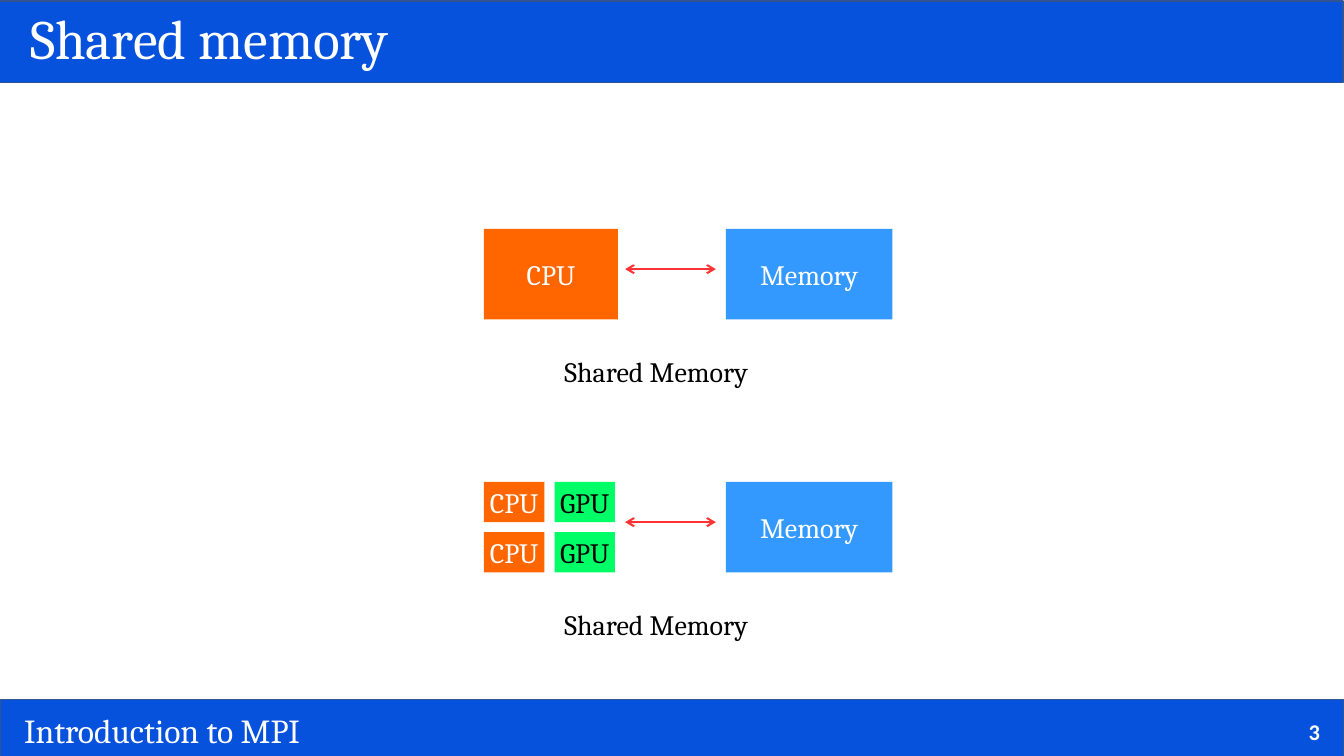
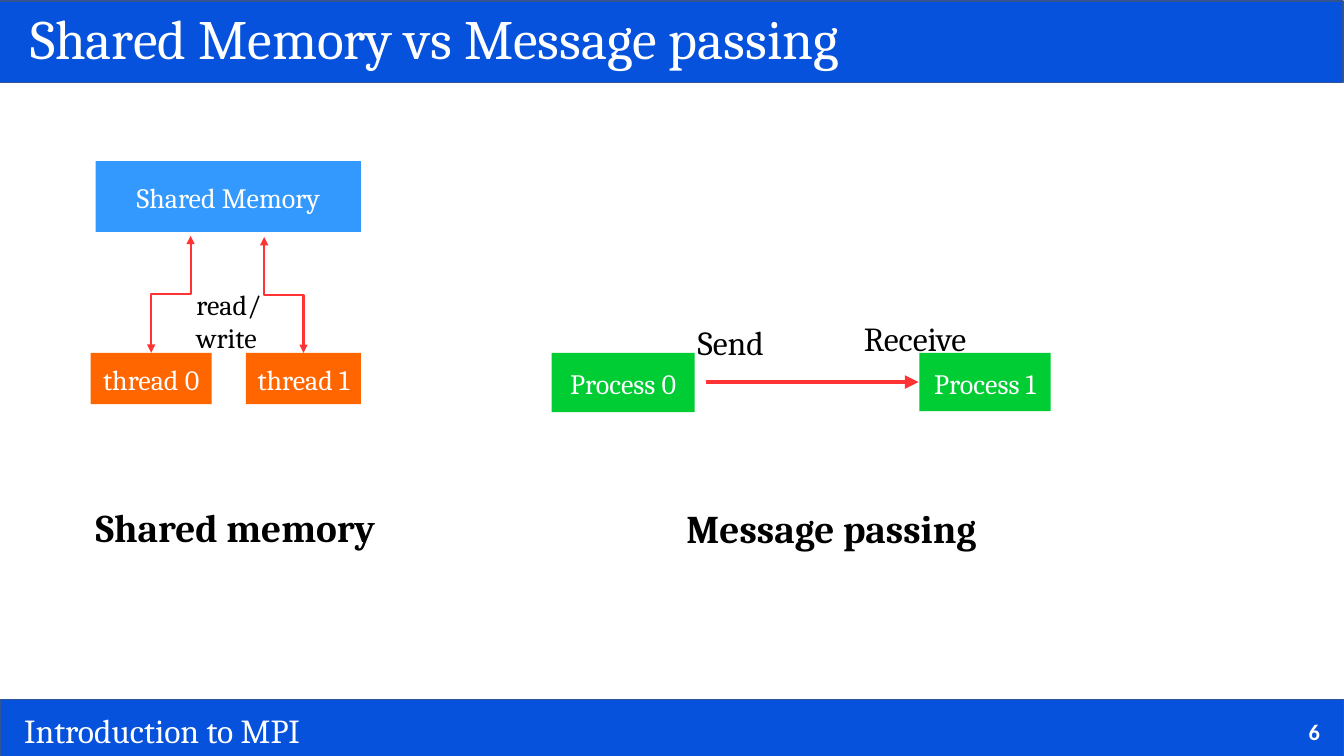
from lxml.etree import SubElement
from pptx import Presentation
from pptx.dml.color import RGBColor
from pptx.enum.shapes import MSO_CONNECTOR, MSO_SHAPE
from pptx.enum.text import MSO_ANCHOR, PP_ALIGN
from pptx.oxml.ns import qn
from pptx.util import Inches, Pt

COLORS = {
    "band": "0652DD", "edge": "325491", "white": "FFFFFF", "black": "000000",
    "cpu": "FF6600", "gpu": "00FF66", "memory": "3399FF",
    "process": "00CC33", "arrow": "FF3333",
}
FONTS = {
    "title": {"name": "Cambria", "size": Pt(39.6)},
    "footer": {"name": "Cambria", "size": Pt(24)},
    "number": {"name": "Calibri", "size": Pt(16), "bold": True},
    "body": {"name": "Cambria", "size": Pt(20)},
    "action": {"name": "Cambria", "size": Pt(24)},
    "heading": {"name": "Cambria", "size": Pt(28), "bold": True},
}
COLS, ROWS = 133.3, 75  # grid of 0.1 inch cells


def grid(*cells):
    return [Inches(c / 10) for c in cells]


def rgb(name):
    return RGBColor.from_string(COLORS[name])


class Deck:
    def __init__(self):
        self.prs = Presentation()
        self.prs.slide_width, self.prs.slide_height = grid(COLS, ROWS)

    def slide(self, title, number, pad_top):
        """Start a slide with its bands, title, footer and number."""
        self.s = self.prs.slides.add_slide(self.prs.slide_layouts[6])
        self.pad_top = Inches(0.05)
        self.box(0, 69.4, COLS, 6, "band", edge="edge")
        self.box(-0.1, 0.1, COLS, 8.1, "band", edge="edge")
        self.label("Introduction to MPI", 1.4, 69.9, 106.3, 5, "footer", "white")
        middle = {"anchor": MSO_ANCHOR.MIDDLE}
        self.label(title, 2, 0.5, 115, 7.3, "title", "white",
                   line_spacing=0.9, **middle)
        self.label(str(number), 127.1, 70.6, 4.8, 4, "number", "white",
                   align=PP_ALIGN.RIGHT, **middle)
        self.pad_top = Inches(pad_top)

    def fill_text(self, sp, text, font, color, wrap=True,
                  anchor=MSO_ANCHOR.TOP, align=PP_ALIGN.LEFT,
                  line_spacing=None):
        tf = sp.text_frame
        frame = {"word_wrap": wrap, "vertical_anchor": anchor,
                 "margin_top": self.pad_top, "margin_bottom": Inches(0.05)}
        for key, value in frame.items():
            setattr(tf, key, value)
        for i, line in enumerate(text.split("\n")):
            p = tf.add_paragraph() if i else tf.paragraphs[0]
            p.alignment, p.line_spacing = align, line_spacing
            r = p.add_run()
            r.text = line
            for key, value in FONTS[font].items():
                setattr(r.font, key, value)
            r.font.color.rgb = rgb(color)

    def label(self, text, x, y, w, h, font="body", color="black", **layout):
        sp = self.s.shapes.add_textbox(*grid(x, y, w, h))
        self.fill_text(sp, text, font, color, **layout)

    def box(self, x, y, w, h, fill, text=None, color="white", edge=None):
        sp = self.s.shapes.add_shape(MSO_SHAPE.RECTANGLE, *grid(x, y, w, h))
        sp.shadow.inherit = False
        sp.fill.solid()
        sp.fill.fore_color.rgb = rgb(fill)
        if edge:
            sp.line.color.rgb = rgb(edge)
            sp.line.width = Pt(1)
        else:
            sp.line.fill.background()
        if text:
            self.fill_text(sp, text, "body", color, wrap=False,
                           anchor=MSO_ANCHOR.MIDDLE, align=PP_ALIGN.CENTER)

    def arrow(self, x1, y1, x2, y2, head="triangle", both=True, width=1.45,
              kind=MSO_CONNECTOR.STRAIGHT):
        sp = self.s.shapes.add_connector(kind, *grid(x1, y1, x2, y2))
        sp.line.color.rgb = rgb("arrow")
        sp.line.width = Pt(width)
        ln = sp._element.spPr.find(qn("a:ln"))
        for end in ("a:headEnd", "a:tailEnd") if both else ("a:tailEnd",):
            SubElement(ln, qn(end), type=head)
        SubElement(sp._element.spPr, qn("a:effectLst"))
        return sp

    def elbow(self, x1, y1, x2, y2):
        """Vertical-first elbow: a horizontal one turned by 90 degrees."""
        cx, cy = (x1 + x2) / 2, (y1 + y2) / 2
        dx, dy = (x2 - x1) / 2, (y2 - y1) / 2
        sp = self.arrow(cx - dy, cy + dx, cx + dy, cy - dx,
                        kind=MSO_CONNECTOR.ELBOW)
        sp._element.spPr.find(qn("a:xfrm")).set("rot", str(90 * 60000))


def shared_memory(deck):
    deck.slide("Shared memory", 3, pad_top=0.05)
    single, multi = 22.7, 47.8

    # Processors
    deck.box(48, single, 13.3, 9, "cpu", "CPU")
    for row in range(2):
        y = multi + 5 * row
        deck.box(48, y, 6, 4, "cpu", "CPU")
        deck.box(55, y, 6, 4, "gpu", "GPU", "black")

    # Memory, link and caption of both systems
    for y in (single, multi):
        deck.box(72, y, 16.5, 9, "memory", "Memory")
        deck.arrow(62, y + 4, 71, y + 4, head="arrow")
        deck.label("Shared Memory", 55, y + 12, 21, 4.3)


def comparison(deck):
    deck.slide("Shared Memory vs Message passing", 6, pad_top=0.07)
    base = 35

    # Threads around one memory
    deck.box(9.5, 16, 26.3, 7, "memory", "Shared Memory")
    deck.box(9, base, 12, 5.1, "cpu", "thread 0")
    deck.box(24.4, base, 11.4, 5.1, "cpu", "thread 1")
    deck.elbow(18.9, 23.4, 15, base)
    deck.elbow(26.2, 23.5, 30.1, base)
    deck.label("read/\nwrite", 18.5, 27.8, 12.1, 9.4)

    # Processes exchanging a message
    deck.box(54.7, base, 14.2, 5.9, "process", "Process 0")
    deck.box(91.2, base, 13, 5.8, "process", "Process 1")
    deck.arrow(70, 37.9, 91.1, 37.9, both=False, width=3.25)
    deck.label("Send", 68.2, 31.2, 9.5, 3.8, "action")
    deck.label("Receive", 84.7, 30.8, 13, 6.6, "action")

    # Headings
    deck.label("Shared memory", 8.5, 49.2, 32, 3.8, "heading")
    deck.label("Message passing", 67.1, 49.3, 32, 3.8, "heading")


def main():
    deck = Deck()
    shared_memory(deck)
    comparison(deck)
    deck.prs.save("out.pptx")


if __name__ == "__main__":
    main()
